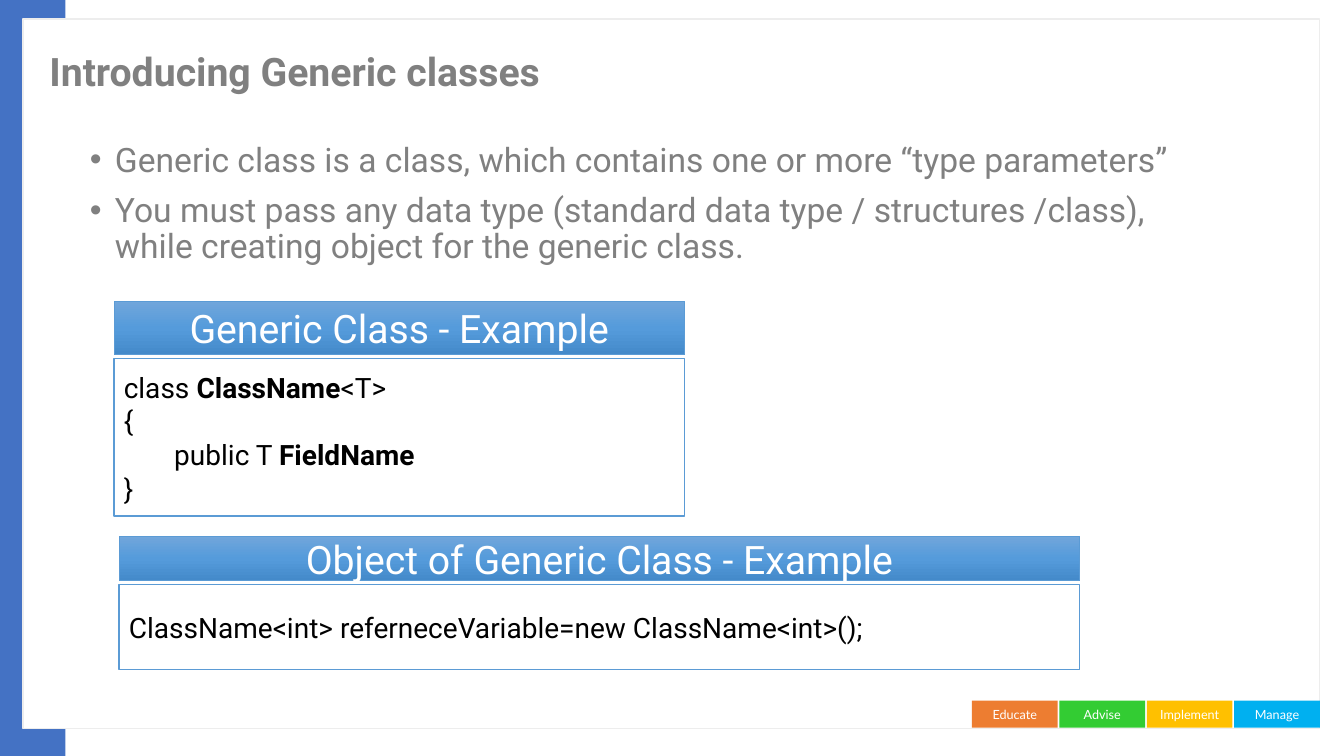
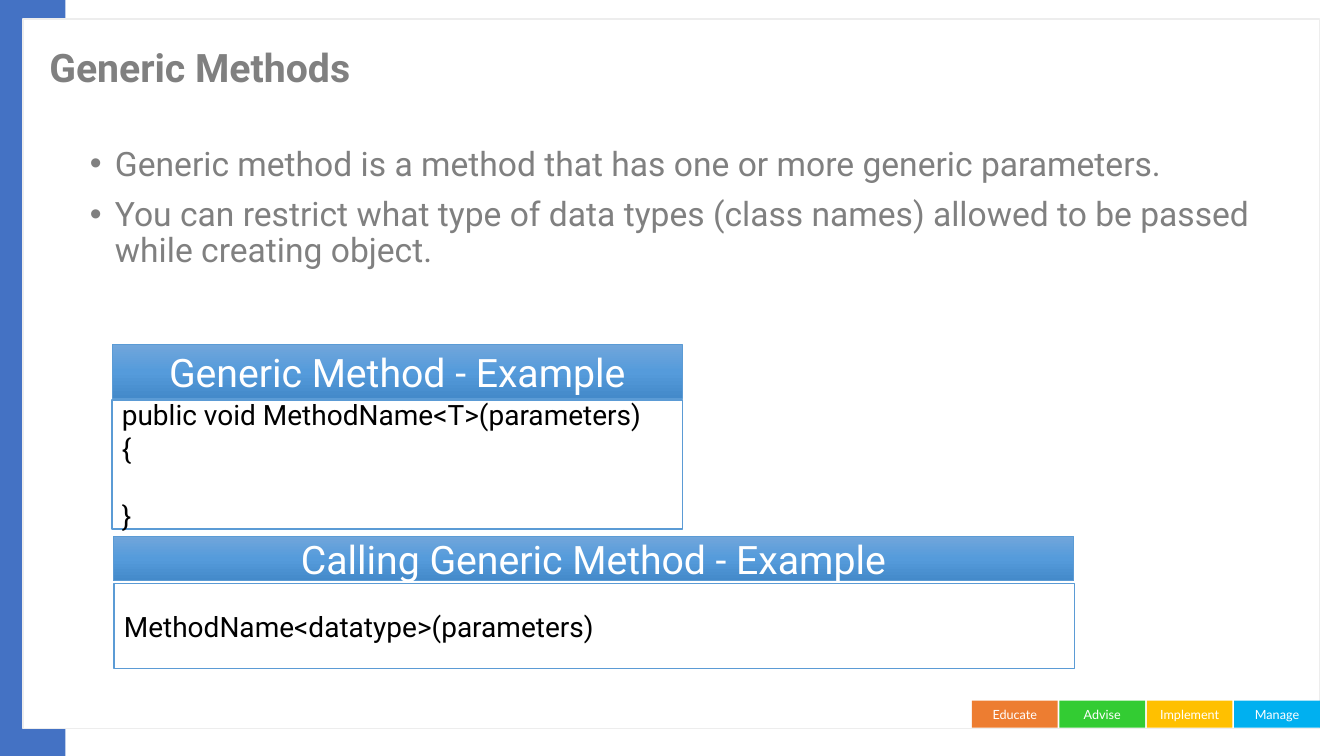
from copy import deepcopy
from dataclasses import dataclass

from pptx import Presentation
from pptx.dml.color import RGBColor
from pptx.enum.shapes import MSO_SHAPE
from pptx.enum.text import MSO_ANCHOR, MSO_AUTO_SIZE, PP_ALIGN
from pptx.oxml.ns import qn
from pptx.util import Inches, Pt

RECTANGLE = MSO_SHAPE.RECTANGLE
LEFT, CENTER = PP_ALIGN.LEFT, PP_ALIGN.CENTER
TOP, MIDDLE = MSO_ANCHOR.TOP, MSO_ANCHOR.MIDDLE
NO_AUTOFIT = MSO_AUTO_SIZE.NONE

FONT, TAG_FONT = "Roboto", "Lato"
WHITE, BLACK, GRAY = "FFFFFF", "000000", "808080"
BAND_BLUE, BOX_BLUE, PANEL_EDGE = "4472C4", "5B9BD5", "EDEDED"
HEADING_GRADIENT = ((0, "71A6DB"), (0.5, "559BDB"), (1, "448ACA"))
TAGS = (("Educate", "ED7D31"), ("Advise", "33CC33"),
        ("Implement", "FFC000"), ("Manage", "00B0F0"))
TAG_LEFT, TAG_PITCH = 9.64, 0.867


@dataclass(frozen=True)
class Frame:
    left: float
    top: float
    width: float
    height: float

    def lengths(self):
        return [Inches(n) for n in (self.left, self.top, self.width, self.height)]


@dataclass(frozen=True)
class Span:
    text: str
    bold: bool = False


@dataclass(frozen=True)
class Example:
    heading: str
    heading_frame: Frame
    code_frame: Frame
    code: tuple[tuple[Span, ...], ...]


@dataclass(frozen=True)
class Topic:
    title: str
    title_top: float
    body_frame: Frame
    bullets: tuple[str, ...]
    examples: tuple[Example, ...]


TOPICS = (
    Topic(
        "Introducing Generic classes", 0.3, Frame(0.79, 1.37, 11.97, 1.73),
        ("Generic class is a class, which contains one or more “type parameters”",
         "You must pass any data type (standard data type / structures /class),\n"
         "while creating object for the generic class."),
        (Example("Generic Class - Example",
                 Frame(1.13, 2.99, 5.66, 0.53), Frame(1.13, 3.56, 5.66, 1.56),
                 ((Span("class "), Span("ClassName", True), Span("<T>")),
                  (Span("{"),),
                  (Span("\tpublic T "), Span("FieldName", True)),
                  (Span("}"),))),
         Example("Object of Generic Class - Example",
                 Frame(1.18, 5.32, 9.53, 0.44), Frame(1.18, 5.8, 9.53, 0.84),
                 ((Span("ClassName<int> referneceVariable=new ClassName<int>();"),),))),
    ),
    Topic(
        "Generic Methods", 0.26, Frame(0.79, 1.41, 12.07, 1.38),
        ("Generic method is a method that has one or more generic parameters.",
         "You can restrict what type of data types (class names) allowed to be "
         "passed while creating object."),
        (Example("Generic Method - Example",
                 Frame(1.11, 3.42, 5.66, 0.53), Frame(1.11, 3.97, 5.66, 1.28),
                 ((Span("public void MethodName<T>(parameters)"),),
                  (Span("{"),),
                  (Span("\t", True),),
                  (Span("}"),))),
         Example("Calling Generic Method - Example",
                 Frame(1.12, 5.32, 9.53, 0.44), Frame(1.13, 5.79, 9.53, 0.84),
                 ((Span("MethodName<datatype>(parameters)"),),))),
    ),
)


def color(value: str) -> RGBColor:
    return RGBColor.from_string(value)


def add_span(para, span: Span, size: float, ink: str, font: str = FONT) -> None:
    run = para.add_run()
    run.text = span.text
    run.font.name = font
    run.font.size = Pt(size)
    run.font.bold = span.bold
    run.font.color.rgb = color(ink)


def next_para(text_frame, index: int):
    return text_frame.add_paragraph() if index else text_frame.paragraphs[0]


def add_box(page, frame: Frame, fill: str | None = None,
            line: str | None = None, line_width: float = 1):
    box = page.shapes.add_shape(RECTANGLE, *frame.lengths())
    box.shadow.inherit = False
    if fill:
        box.fill.solid()
        box.fill.fore_color.rgb = color(fill)
    if line:
        box.line.color.rgb = color(line)
        box.line.width = Pt(line_width)
    else:
        box.line.fill.background()
    return box


def add_label(box, text: str, size: float, font: str = FONT) -> None:
    box.text_frame.vertical_anchor = MIDDLE
    para = box.text_frame.paragraphs[0]
    para.alignment = CENTER
    add_span(para, Span(text), size, WHITE, font)


def fill_gradient(box) -> None:
    """Fill a box from top to bottom with the heading gradient."""
    box.fill.gradient()
    box.fill.gradient_angle = 270
    stop_list = box.element.spPr.find(".//" + qn("a:gsLst"))
    stop_list.append(deepcopy(stop_list[0]))
    for stop, (position, tone) in zip(box.fill.gradient_stops, HEADING_GRADIENT):
        stop.position = position
        stop.color.rgb = color(tone)


def move_background_to_layout(page) -> None:
    """Draw the band, panel and tags, then hand them to the page's layout."""
    boxes = [
        add_box(page, Frame(0, 0, 0.65, 7.5), BAND_BLUE),
        add_box(page, Frame(0.23, 0.19, 12.86, 7.04), WHITE, PANEL_EDGE),
    ]
    for index, (text, fill) in enumerate(TAGS):
        tag = add_box(page, Frame(TAG_LEFT + index * TAG_PITCH, 6.95, 0.85, 0.27), fill)
        add_label(tag, text, 9, TAG_FONT)
        boxes.append(tag)
    for box in boxes:
        page.slide_layout.shapes.element.append(box.element)


def place(placeholder, frame: Frame, anchor) -> None:
    (placeholder.left, placeholder.top,
     placeholder.width, placeholder.height) = frame.lengths()
    placeholder.text_frame.word_wrap = True
    placeholder.text_frame.auto_size = NO_AUTOFIT
    placeholder.text_frame.vertical_anchor = anchor


def set_bullet(para) -> None:
    properties = para._p.get_or_add_pPr()
    properties.set("marL", str(Inches(0.25)))
    properties.set("indent", str(Inches(-0.25)))
    properties.makeelement(qn("a:buChar"), {"char": "•"})
    bullet = properties.makeelement(qn("a:buChar"), {"char": "•"})
    properties.append(bullet)


def write_title(page, topic: Topic) -> None:
    title = page.shapes.title
    place(title, Frame(0.39, topic.title_top, 10.32, 0.87), MIDDLE)
    para = title.text_frame.paragraphs[0]
    para.alignment = LEFT
    para.line_spacing = 0.9
    add_span(para, Span(topic.title, True), 28, GRAY)


def write_bullets(page, topic: Topic) -> None:
    body = page.placeholders[1]
    place(body, topic.body_frame, TOP)
    for index, text in enumerate(topic.bullets):
        para = next_para(body.text_frame, index)
        set_bullet(para)
        para.line_spacing = 0.9
        para.space_before = Pt(10 if index else 0)
        for line_index, line in enumerate(text.split("\n")):
            if line_index:
                para.add_line_break()
            add_span(para, Span(line), 24, GRAY)


def add_example(page, example: Example) -> None:
    code_box = add_box(page, example.code_frame, WHITE, BOX_BLUE)
    code_box.text_frame.vertical_anchor = MIDDLE
    for index, line in enumerate(example.code):
        para = next_para(code_box.text_frame, index)
        para.alignment = LEFT
        for span in line:
            add_span(para, span, 20, BLACK)
    heading = add_box(page, example.heading_frame, line=BOX_BLUE, line_width=0.5)
    fill_gradient(heading)
    add_label(heading, example.heading, 28)


def main() -> None:
    deck = Presentation()
    deck.slide_width, deck.slide_height = Inches(13.33), Inches(7.5)
    layout = deck.slide_layouts[1]
    for index, topic in enumerate(TOPICS):
        page = deck.slides.add_slide(layout)
        if index == 0:
            move_background_to_layout(page)
        write_title(page, topic)
        write_bullets(page, topic)
        for example in topic.examples:
            add_example(page, example)
    deck.save("out.pptx")


if __name__ == "__main__":
    main()
